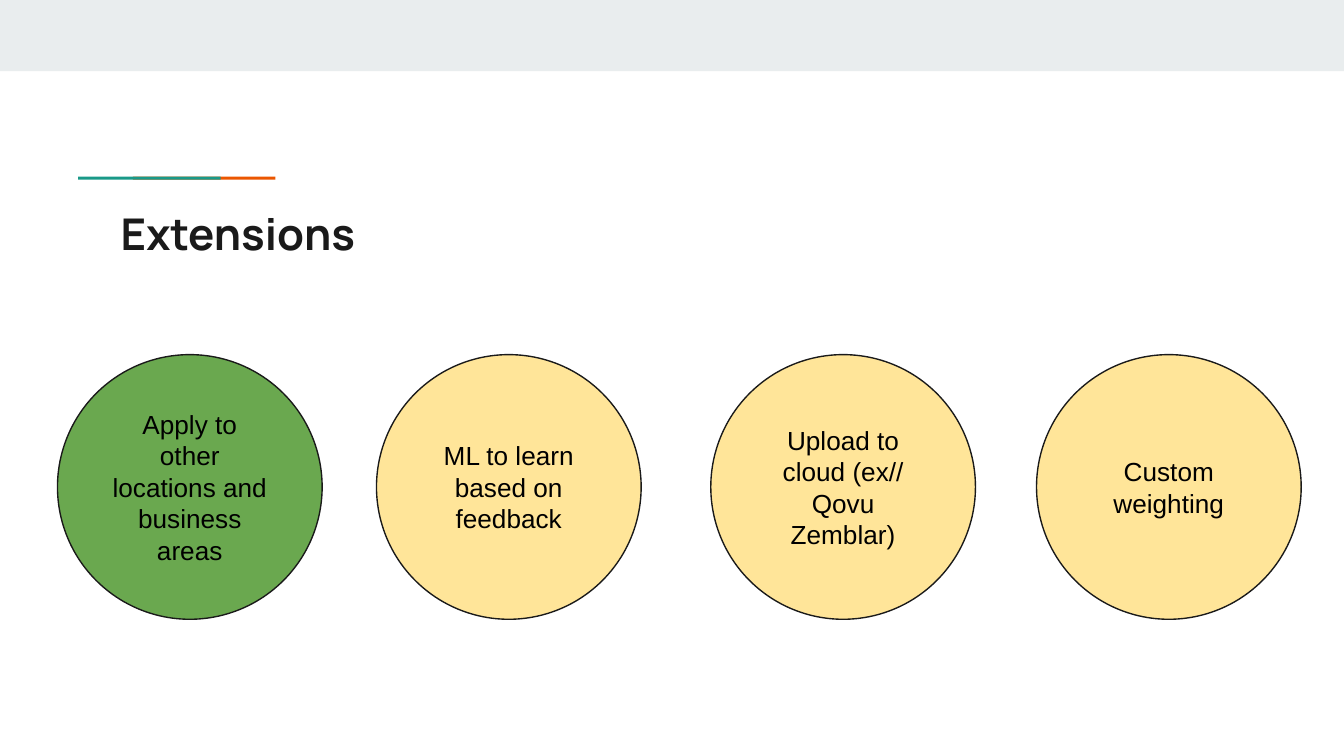
from pptx import Presentation
from pptx.dml.color import RGBColor
from pptx.enum.shapes import MSO_SHAPE
from pptx.enum.text import MSO_ANCHOR, PP_ALIGN
from pptx.util import Pt

COLORS = {
    "band": "E9EDEE",
    "teal": "1A9988",
    "orange": "EB5600",
    "ink": "1A1A1A",
    "text": "000000",
    "green": "6AA84F",
    "yellow": "FFE599",
}
CIRCLE_TOP = 190
CIRCLE_SIZE = 141.8
CIRCLES = [
    (30.8, "green", "Apply to other locations and business areas"),
    (201.7, "yellow", "ML to learn based on feedback"),
    (380.8, "yellow", "Upload to cloud (ex// Qovu Zemblar)"),
    (555.3, "yellow", "Custom weighting"),
]


def color(name):
    return RGBColor.from_string(COLORS[name])


def add_filled(page, kind, left, top, width, height, fill, line=None):
    shape = page.shapes.add_shape(kind, Pt(left), Pt(top), Pt(width), Pt(height))
    shape.shadow.inherit = False
    shape.fill.solid()
    shape.fill.fore_color.rgb = color(fill)
    if line:
        shape.line.color.rgb = color(line)
        shape.line.width = Pt(0.75)
    else:
        shape.line.fill.background()
    return shape


def write_text(shape, text, *, font, size, ink, bold=False, align=PP_ALIGN.LEFT):
    frame = shape.text_frame
    frame.word_wrap = True
    frame.vertical_anchor = MSO_ANCHOR.MIDDLE
    frame.margin_left = frame.margin_right = Pt(7.2)
    frame.margin_top = frame.margin_bottom = Pt(7.2)
    para = frame.paragraphs[0]
    para.alignment = align
    span = para.add_run()
    span.text = text
    span.font.name = font
    span.font.size = Pt(size)
    span.font.bold = bold
    span.font.color.rgb = color(ink)


def add_title(page, text):
    box = page.shapes.add_textbox(Pt(57.6), Pt(103.7), Pt(605.5), Pt(42.5))
    write_text(box, text, font="Manrope", size=23.4, ink="ink", bold=True)


def add_circle(page, left, fill, text):
    circle = add_filled(page, MSO_SHAPE.OVAL, left, CIRCLE_TOP,
                        CIRCLE_SIZE, CIRCLE_SIZE, fill, line="ink")
    write_text(circle, text, font="Arial", size=14, ink="text", align=PP_ALIGN.CENTER)


def main():
    deck = Presentation()
    deck.slide_width, deck.slide_height = Pt(720), Pt(405)
    page = deck.slides.add_slide(deck.slide_layouts[6])
    add_filled(page, MSO_SHAPE.RECTANGLE, 0, 0, 720, 38.2, "band")
    for left, fill in ((71.2, "orange"), (41.8, "teal")):
        add_filled(page, MSO_SHAPE.RECTANGLE, left, 94.7, 76.4, 1.6, fill)
    add_title(page, "Extensions")
    for left, fill, text in CIRCLES:
        add_circle(page, left, fill, text)
    deck.save("out.pptx")


if __name__ == "__main__":
    main()
